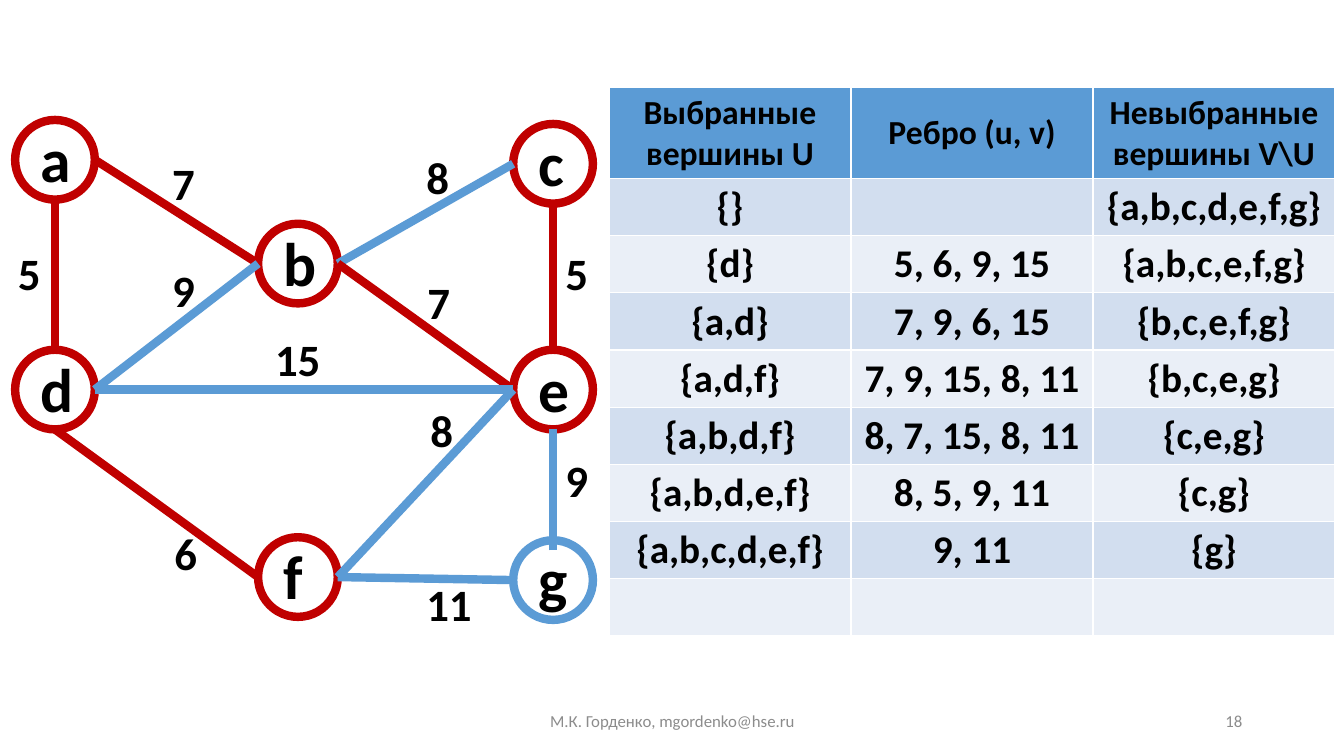
from dataclasses import dataclass
from lxml import etree
from pptx import Presentation
from pptx.dml.color import RGBColor
from pptx.enum.shapes import MSO_CONNECTOR, MSO_SHAPE
from pptx.enum.text import MSO_ANCHOR, MSO_AUTO_SIZE, PP_ALIGN
from pptx.oxml.ns import qn
from pptx.util import Pt

LINE, OVAL = MSO_CONNECTOR.STRAIGHT, MSO_SHAPE.OVAL
LEFT, MID, RIGHT = PP_ALIGN.LEFT, PP_ALIGN.CENTER, PP_ALIGN.RIGHT
TOP, MIDDLE = MSO_ANCHOR.TOP, MSO_ANCHOR.MIDDLE
GROW, FIXED = MSO_AUTO_SIZE.SHAPE_TO_FIT_TEXT, MSO_AUTO_SIZE.NONE


@dataclass(frozen=True)
class Theme:
    font: str = "Calibri"
    ink: str = "000000"
    grey: str = "8C8C8C"
    paper: str = "FFFFFF"
    red: str = "C00000"
    blue: str = "5B9BD5"
    bands: tuple = ("D2DEEF", "EAEFF7")
    node: int = 44
    weight: int = 32
    body: int = 28
    head: int = 24
    foot: int = 12
    stroke: int = 6


T = Theme()

# name: left, top, letter width, colour
NODES = {
    "a": (15, 119, 51, T.red),
    "b": (256, 222, 53, T.red),
    "c": (509, 123, 46, T.red),
    "d": (15, 347, 53, T.red),
    "e": (509, 347, 51, T.red),
    "f": (256, 533, 40, T.red),
    "g": (509, 536, 49, T.blue),
}
# from node, side, to node, side, colour
EDGES = [
    ("a", "right", "b", "left", T.red),
    ("b", "right", "c", "left", T.blue),
    ("d", "right", "b", "left", T.blue),
    ("b", "right", "e", "left", T.red),
    ("a", "bottom", "d", "top", T.red),
    ("c", "bottom", "e", "top", T.red),
    ("d", "right", "e", "left", T.blue),
    ("d", "bottom", "f", "left", T.red),
    ("g", "left", "f", "right", T.blue),
    ("e", "left", "f", "right", T.blue),
    ("g", "inner", "e", "bottom", T.blue),
]
# weight, left, top, width
WEIGHTS = [
    ("7", 161, 150, 48), ("7", 414, 268, 48), ("8", 413, 144, 48),
    ("9", 161, 256, 48), ("5", 8, 239, 48), ("5", 551, 239, 48),
    ("15", 263, 324, 76), ("6", 163, 517, 48), ("8", 417, 395, 48),
    ("9", 551, 444, 48), ("11", 413, 567, 116),
]
STEPS = [
    ("Выбранные вершины U", "Ребро (u, v)", "Невыбранные вершины V\\U"),
    ("{}", "", "{a,b,c,d,e,f,g}"),
    ("{d}", "5, 6, 9, 15", "{a,b,c,e,f,g}"),
    ("{a,d}", "7, 9, 6, 15", "{b,c,e,f,g}"),
    ("{a,d,f}", "7, 9, 15, 8, 11", "{b,c,e,g}"),
    ("{a,b,d,f}", "8, 7, 15, 8, 11", "{c,e,g}"),
    ("{a,b,d,e,f}", "8, 5, 9, 11", "{c,g}"),
    ("{a,b,c,d,e,f}", "9, 11", "{g}"),
    ("", "", ""),
]
FOOTER = [
    ("М.К. Горденко, mgordenko@hse.ru", 442, 450, MID),
    ("18", 942, 300, RIGHT),
]

PX = 9144  # 100 px to the inch
SIZE = 79
HALF = SIZE / 2
SIDES = {
    "left": (0, HALF), "right": (SIZE, HALF), "top": (HALF, 0),
    "bottom": (HALF, SIZE), "inner": (HALF, 10),
}
GRID = (604, 87, 720, 543)
HEAD = 90


def emu(*vals):
    return [round(v * PX) for v in vals]


def rgb(code):
    return RGBColor.from_string(code)


def write(frame, text, size=T.weight, color=T.ink, bold=True, align=LEFT):
    para = frame.paragraphs[0]
    para.alignment = align
    run = para.add_run()
    run.text = text
    font = run.font
    font.name, font.size, font.bold = T.font, Pt(size), bold
    font.color.rgb = rgb(color)


def label(slide, text, box, wrap=True, fit=GROW, anchor=TOP, **fmt):
    frame = slide.shapes.add_textbox(*emu(*box)).text_frame
    frame.word_wrap, frame.auto_size = wrap, fit
    frame.vertical_anchor = anchor
    write(frame, text, **fmt)


def stroke(shape, color):
    shape.line.color.rgb = rgb(color)
    shape.line.width = Pt(T.stroke)


def site(name, side):
    """Return the point where an edge meets a node."""
    x, y = NODES[name][:2]
    dx, dy = SIDES[side]
    return emu(x + dx, y + dy)


def graph(slide):
    for name, (x, y, wide, color) in NODES.items():
        ring = slide.shapes.add_shape(OVAL, *emu(x, y, SIZE, SIZE))
        ring.shadow.inherit = False
        ring.fill.solid()
        ring.fill.fore_color.rgb = rgb(T.paper)
        stroke(ring, color)
        label(slide, name, (x + 15, y - 4, wide, 84), wrap=False, size=T.node)
    for start, out, end, into, color in EDGES:
        edge = slide.shapes.add_connector(LINE, *site(start, out), *site(end, into))
        stroke(edge, color)
        etree.SubElement(edge.line._get_or_add_ln().getparent(), qn("a:effectLst"))
    for text, x, y, wide in WEIGHTS:
        label(slide, text, (x, y, wide, 64))


def table(slide):
    rows, cols = len(STEPS), len(STEPS[0])
    grid = slide.shapes.add_table(rows, cols, *emu(*GRID)).table
    for col in grid.columns:
        col.width = emu(GRID[2] / cols)[0]
    for r, step in enumerate(STEPS):
        high = (GRID[3] - HEAD) / (rows - 1) if r else HEAD
        grid.rows[r].height = emu(high)[0]
        for c, text in enumerate(step):
            cell = grid.cell(r, c)
            cell.vertical_anchor = MIDDLE
            cell.fill.solid()
            cell.fill.fore_color.rgb = rgb(T.bands[(r - 1) % 2] if r else T.blue)
            if text:
                write(cell.text_frame, text, size=T.body if r else T.head, align=MID)


def main():
    deck = Presentation()
    deck.slide_width, deck.slide_height = emu(1333, 750)
    slide = deck.slides.add_slide(deck.slide_layouts[6])
    graph(slide)
    table(slide)
    for text, x, wide, align in FOOTER:
        label(slide, text, (x, 695, wide, 40), fit=FIXED, anchor=MIDDLE,
              size=T.foot, color=T.grey, bold=False, align=align)
    deck.save("out.pptx")


if __name__ == "__main__":
    main()
